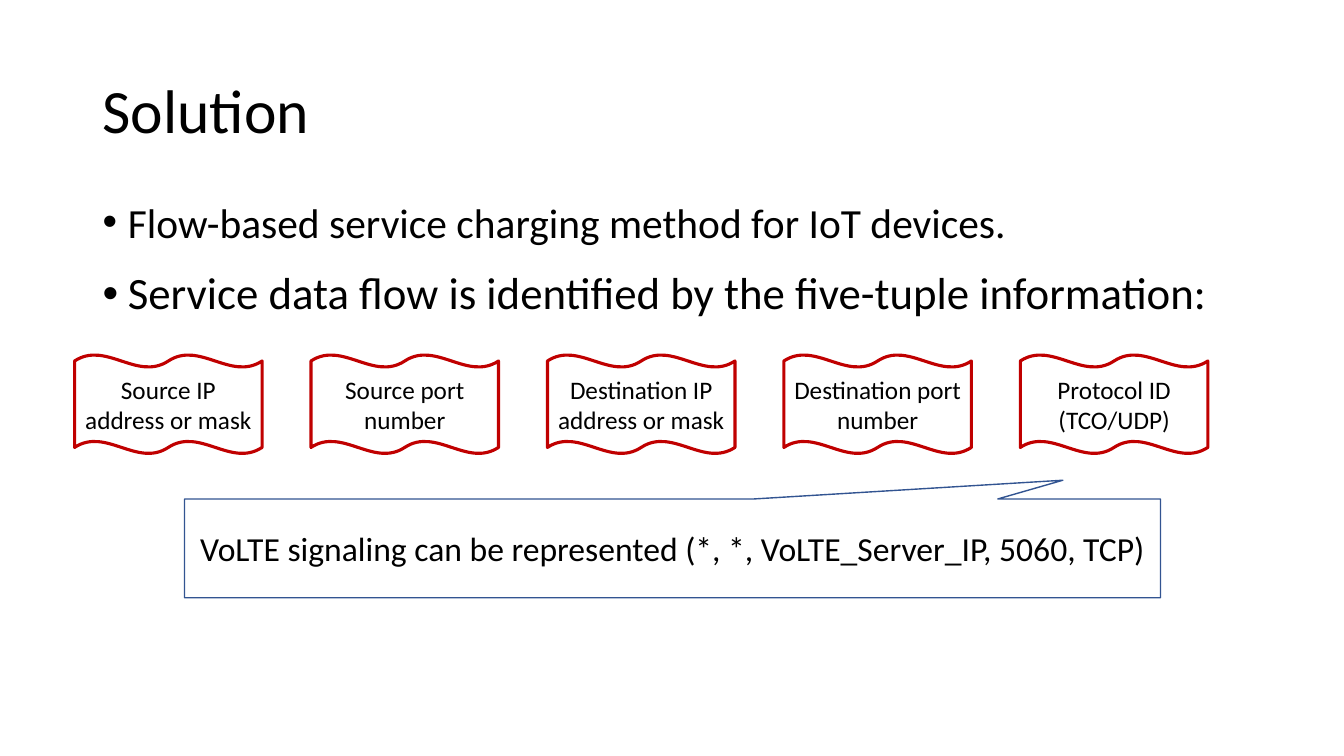
import pptx
import pptx.util
import pptx.dml.color
import pptx.enum.shapes
import pptx.enum.text
from lxml import etree
from pptx.util import Inches

INK = {"text": "000000", "wave": "C00000", "call": "325491"}
FIELDS = [
    "Source IP address or mask",
    "Source port number",
    "Destination IP address or mask",
    "Destination port number",
    "Protocol ID (TCO/UDP)",
]
POINTS = [
    (2, "Flow-based service charging method for IoT devices.", 29.6, 0.8),
    (2.64, "Service data flow is identified by the five-tuple information:", 32, 0.9),
]
CALL = "VoLTE signaling can be represented (*, *, VoLTE_Server_IP, 5060, TCP)"
KIND = pptx.enum.shapes.MSO_SHAPE
ALIGN = pptx.enum.text.PP_ALIGN
MID = pptx.enum.text.MSO_ANCHOR.MIDDLE
TOP = pptx.enum.text.MSO_ANCHOR.TOP


def tint(name):
    """Return the named colour."""
    return pptx.dml.color.RGBColor.from_string(INK[name])


def apply(item, values):
    """Set each attribute of item from a dict."""
    for key, value in values.items():
        setattr(item, key, value)


def write(shape, text, size, anchor=MID, space=1, align=ALIGN.LEFT, pad=0.1, dot=False):
    """Put one formatted paragraph in a shape."""
    frame = shape.text_frame
    side = Inches(pad)
    apply(frame, {"word_wrap": True, "vertical_anchor": anchor,
                  "margin_left": side, "margin_right": side})
    para = frame.paragraphs[0]
    para.text = text
    apply(para, {"alignment": align, "line_spacing": space})
    if dot:
        props = para._p.get_or_add_pPr()
        props.set("marL", str(Inches(0.25)))
        props.set("indent", str(Inches(-0.25)))
        tag = pptx.oxml.ns.qn
        etree.SubElement(props, tag("a:buFont")).set("typeface", "Arial")
        etree.SubElement(props, tag("a:buChar")).set("char", "•")
    apply(para.font, {"name": "Calibri", "size": pptx.util.Pt(size)})
    para.font.color.rgb = tint("text")


def label(slide, box, text, size, **form):
    """Add a text box."""
    write(slide.shapes.add_textbox(*map(Inches, box)), text, size, **form)


def frame(slide, kind, box, ink, width, text, size, pad=0.1):
    """Add an outlined shape with centred text."""
    shape = slide.shapes.add_shape(kind, *map(Inches, box))
    shape.shadow.inherit = False
    shape.fill.background()
    shape.line.color.rgb = tint(ink)
    shape.line.width = pptx.util.Pt(width)
    write(shape, text, size, align=ALIGN.CENTER, pad=pad)
    return shape


def main():
    """Build the slide and save it."""
    deck = pptx.Presentation()
    apply(deck, {"slide_width": Inches(13.33), "slide_height": Inches(7.5)})
    slide = deck.slides.add_slide(deck.slide_layouts[6])
    label(slide, (0.92, 0.4, 11.5, 1.45), "Solution", 44, space=0.9)
    for top, text, size, space in POINTS:
        label(slide, (0.92, top, 11.5, 0.52), text, size,
              anchor=TOP, space=space, dot=True)
    pitch = (10.12 - 0.74) / (len(FIELDS) - 1)
    for num, text in enumerate(FIELDS):
        box = (0.74 + num * pitch, 3.52, 1.86, 0.98)
        frame(slide, KIND.DOUBLE_WAVE, box, "wave", 2.25, text, 18, pad=0.05)
    call = frame(slide, KIND.RECTANGULAR_CALLOUT, (1.83, 4.95, 9.68, 0.98),
                 "call", 1, CALL, 24)
    call.adjustments[0] = 0.4
    call.adjustments[1] = -0.69
    deck.save("out.pptx")


if __name__ == "__main__":
    main()
